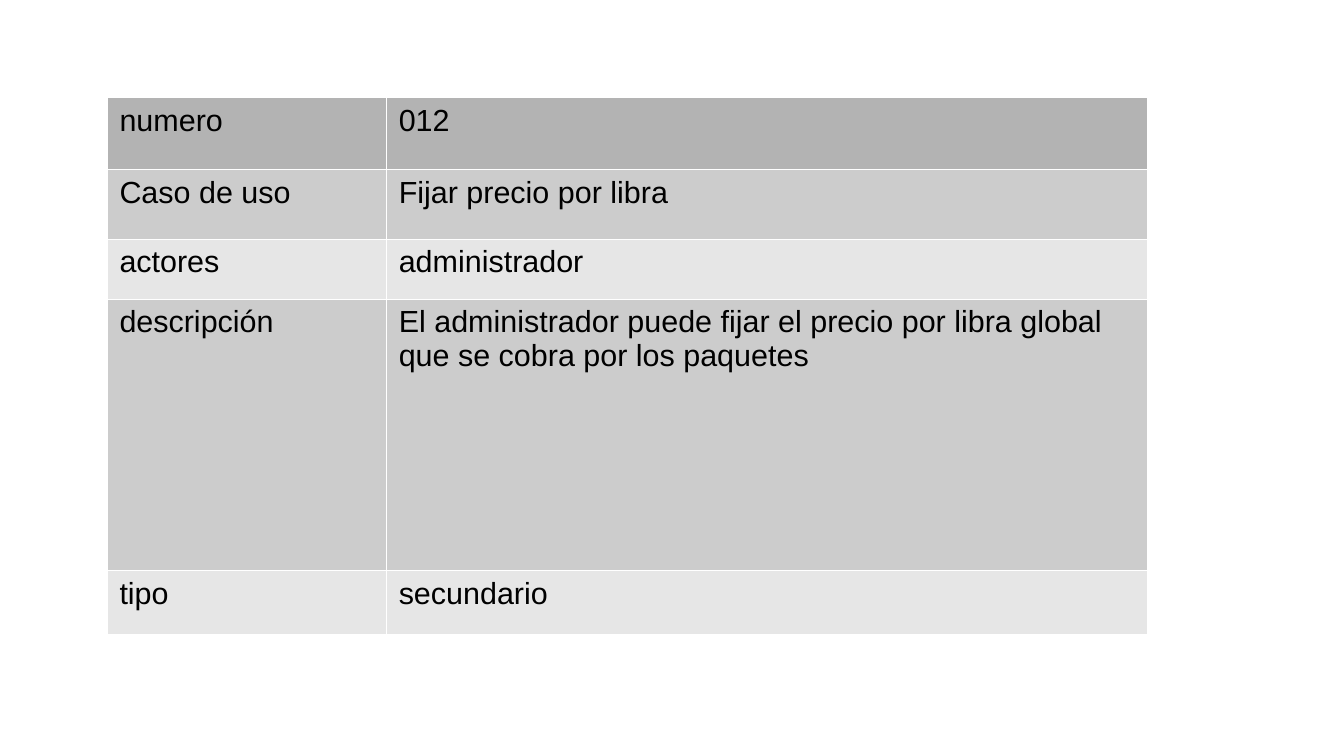
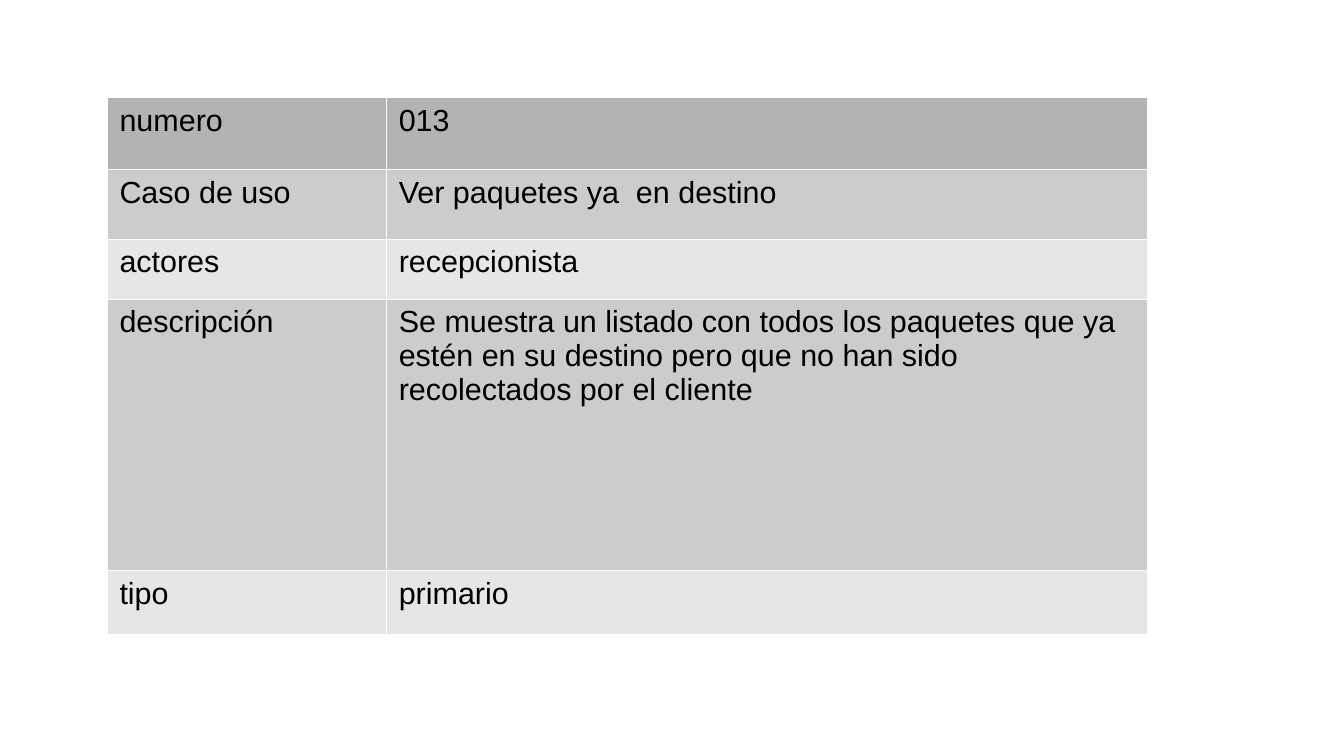
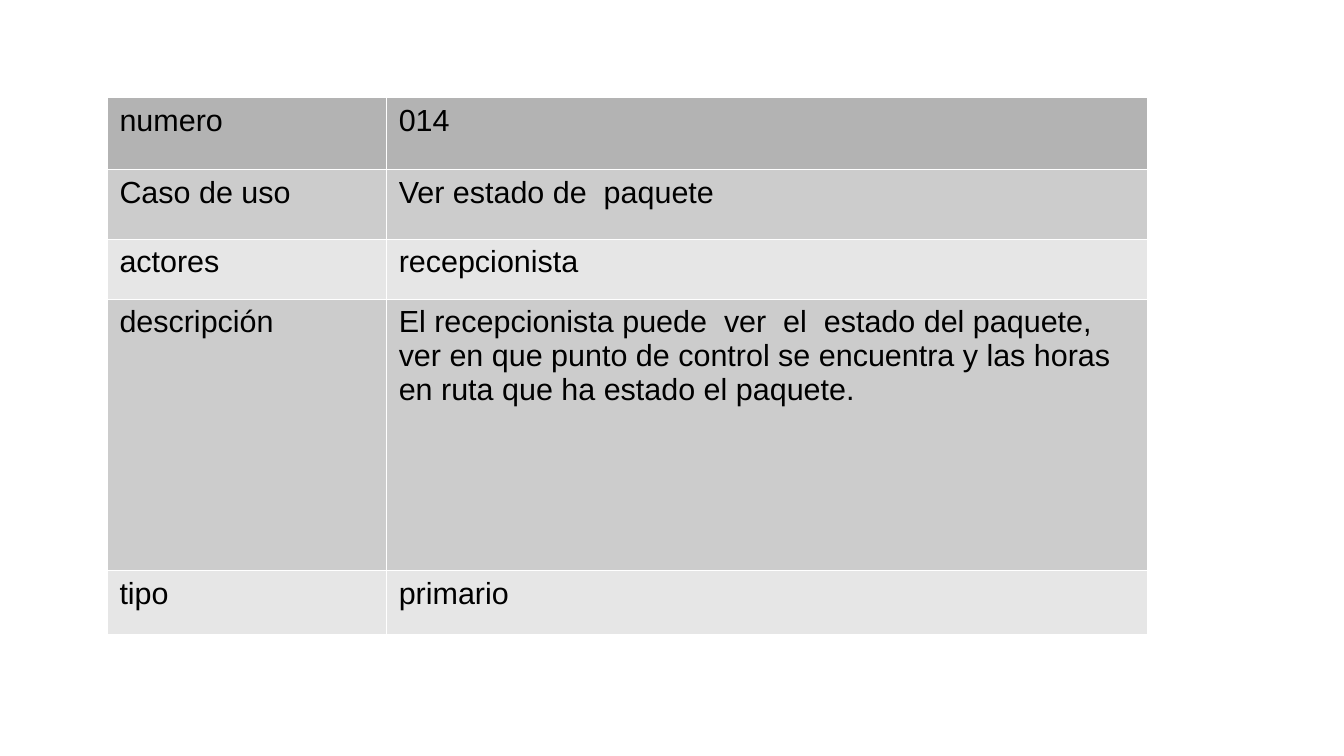
"""Build three use-case slides, each holding one two-column table."""
from lxml import etree
from pptx import Presentation
from pptx.dml.color import RGBColor
from pptx.oxml.ns import qn
from pptx.util import Inches, Pt

COLORS = {"header": "B3B3B3", "dark": "CCCCCC", "light": "E6E6E6",
          "border": "FFFFFF", "text": "000000"}
BORDER_WIDTH = Pt(0.06)
SIDES = ("a:lnL", "a:lnR", "a:lnT", "a:lnB")
LEFT, TOP = 0.88, 0.8
COLUMNS = (2.29, 6.24)
FIELDS = (
    ("numero", 0.59, "header"),
    ("Caso de uso", 0.57, "dark"),
    ("actores", 0.49, "light"),
    ("descripción", 2.23, "dark"),
    ("tipo", 0.52, "light"),
)
USE_CASES = (
    ("012", "Fijar precio por libra", "administrador",
     "El administrador puede fijar el precio por libra global que se cobra "
     "por los paquetes", "secundario"),
    ("013", "Ver paquetes ya  en destino", "recepcionista",
     "Se muestra un listado con todos los paquetes que ya estén en su destino "
     "pero que no han sido recolectados por el cliente", "primario"),
    ("014", "Ver estado de  paquete", "recepcionista",
     "El recepcionista puede  ver  el  estado del paquete, ver en que punto de "
     "control se encuentra y las horas en ruta que ha estado el paquete.",
     "primario"),
)


def style_cell(cell, text, fill):
    properties = cell._tc.get_or_add_tcPr()
    for side in SIDES:
        line = etree.SubElement(properties, qn(side), w=str(BORDER_WIDTH))
        solid = etree.SubElement(line, qn("a:solidFill"))
        etree.SubElement(solid, qn("a:srgbClr"), val=COLORS["border"])
    cell.fill.solid()
    cell.fill.fore_color.rgb = RGBColor.from_string(COLORS[fill])
    cell.text = text
    font = cell.text_frame.paragraphs[0].font
    font.name, font.size, font.bold = "Arial", Pt(18), False
    font.color.rgb = RGBColor.from_string(COLORS["text"])


deck = Presentation()
deck.slide_width, deck.slide_height = Inches(11.02), Inches(6.2)
blank = deck.slide_layouts[6]
table_height = sum(height for _, height, _ in FIELDS)

for use_case in USE_CASES:
    slide = deck.slides.add_slide(blank)
    table = slide.shapes.add_table(
        len(FIELDS), len(COLUMNS), Inches(LEFT), Inches(TOP),
        Inches(sum(COLUMNS)), Inches(table_height)).table
    table.first_row = table.horz_banding = False
    for column, width in zip(table.columns, COLUMNS):
        column.width = Inches(width)
    for row, (label, height, fill), value in zip(table.rows, FIELDS, use_case):
        row.height = Inches(height)
        for cell, text in zip(row.cells, (label, value)):
            style_cell(cell, text, fill)

deck.save("out.pptx")
